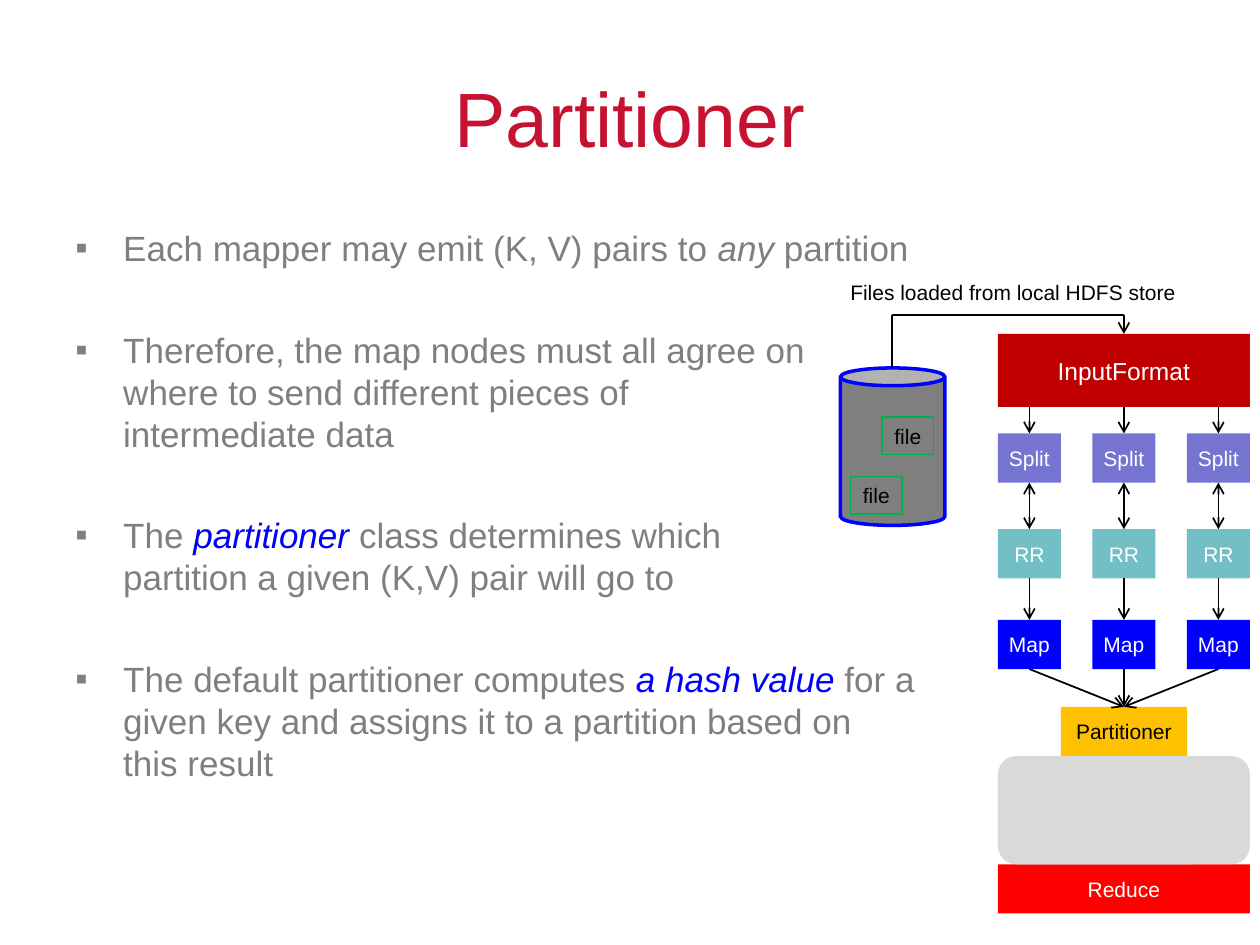
"""Build the Partitioner slide with its map and reduce flow."""
import pptx
import pptx.util
import pptx.dml.color
import pptx.enum.shapes
import pptx.enum.text
import pptx.oxml.ns
from lxml import etree

Inches, Pt = pptx.util.Inches, pptx.util.Pt
KIND = pptx.enum.shapes.MSO_SHAPE
ALIGN = pptx.enum.text.PP_ALIGN
ANCHOR = pptx.enum.text.MSO_ANCHOR

FONT = "Arial"
RED, GREY, BLUE, BLACK, WHITE = "C41230", "7F7F7F", "0000FF", "000000", "FFFFFF"
GREEN = "00B050"

TITLE = "Partitioner"
POINTS = [
    [("Each mapper may emit (K, V) pairs to ", GREY, False),
     ("any", GREY, True),
     (" partition", GREY, False)],
    [("Therefore, the map nodes must all agree on\n"
      "where to send different pieces of\nintermediate data", GREY, False)],
    [("The ", GREY, False),
     ("partitioner", BLUE, True),
     (" class determines which\n"
      "partition a given (K,V) pair will go to", GREY, False)],
    [("The default partitioner computes ", GREY, False),
     ("a hash value", BLUE, True),
     (" for a\ngiven key and assigns it to a partition based on\n"
      "this result", GREY, False)],
]
LABEL = "Files loaded from local HDFS store"
FILES = [(7, 3.31), (6.75, 3.78)]
ROWS = [("Split", 3.44, "7575D1"), ("RR", 4.2, "72BFC5"), ("Map", 4.92, BLUE)]

LEFT, STEP, COLS = 7.92, 0.75, 3
WIDE, SMALL, HIGH = 2, 0.5, 0.39
MID = LEFT + WIDE / 2
STORE, RAIL = 7.08, 2.5


def color(code):
    return pptx.dml.color.RGBColor.from_string(code)


def style(font, size, code, slant=False):
    font.name, font.size, font.italic = FONT, Pt(size), slant
    font.color.rgb = color(code)


def area(*place):
    return [Inches(round(n, 2)) for n in place]


def write(shape, text, size, code, align=ALIGN.CENTER, anchor=ANCHOR.MIDDLE, wrap=True):
    frame = shape.text_frame
    frame.text = text
    frame.word_wrap, frame.vertical_anchor = wrap, anchor
    para = frame.paragraphs[0]
    para.alignment = align
    style(para.runs[0].font, size, code)


def block(kind, place, fill=None, line=None, width=1):
    shape = slide.shapes.add_shape(kind, *area(*place))
    shape.shadow.inherit = False
    if fill:
        shape.fill.solid()
        shape.fill.fore_color.rgb = color(fill)
    else:
        shape.fill.background()
    if line:
        shape.line.color.rgb = color(line)
        shape.line.width = Pt(width)
    else:
        shape.line.fill.background()
    return shape


def box(text, place, fill, code=WHITE, size=12):
    shape = block(KIND.RECTANGLE, place, fill)
    write(shape, text, size, code)
    frame = shape.text_frame
    frame.margin_left = frame.margin_right = 0
    return shape


def under(shape):
    return shape.left + shape.width // 2, shape.top + shape.height


def over(shape):
    return shape.left + shape.width // 2, shape.top


def link(start, end, source=None, target=None, ends=("tailEnd",)):
    line = slide.shapes.add_connector(
        pptx.enum.shapes.MSO_CONNECTOR.STRAIGHT, *start, *end)
    if source:
        line.begin_connect(source, 2)
    if target:
        line.end_connect(target, 0)
    line.line.color.rgb = color(BLACK)
    line.line.width = Pt(1)
    props = line._element.spPr
    pen = props.find(pptx.oxml.ns.qn("a:ln"))
    for name in ends:
        etree.SubElement(pen, pptx.oxml.ns.qn("a:" + name), type="arrow")
    etree.SubElement(props, pptx.oxml.ns.qn("a:effectLst"))


def join(source, target, ends=("tailEnd",)):
    link(under(source), over(target), source, target, ends)


def bullet(para):
    props = para._p.get_or_add_pPr()
    props.set("marL", str(Inches(0.38)))
    props.set("indent", str(-Inches(0.38)))
    tint = etree.SubElement(props, pptx.oxml.ns.qn("a:buClr"))
    etree.SubElement(tint, pptx.oxml.ns.qn("a:srgbClr"), val=GREY)
    etree.SubElement(props, pptx.oxml.ns.qn("a:buFont"), typeface=FONT)
    etree.SubElement(props, pptx.oxml.ns.qn("a:buChar"), char="▪")


def fill_body(frame):
    frame.word_wrap = True
    for i, parts in enumerate(POINTS):
        para = frame.add_paragraph() if i else frame.paragraphs[0]
        bullet(para)
        para.line_spacing = Pt(24)
        para.space_before = Pt(34 if i else 0)
        for text, code, slant in parts:
            for j, piece in enumerate(text.split("\n")):
                if j:
                    para.add_line_break()
                run = para.add_run()
                run.text = piece
                style(run.font, 20, code, slant)


deck = pptx.Presentation()
deck.slide_width, deck.slide_height = Inches(10), Inches(7.5)
slide = deck.slides.add_slide(deck.slide_layouts[6])

write(slide.shapes.add_textbox(*area(0.5, 0.3, 9, 1.25)), TITLE, 44, RED)
fill_body(slide.shapes.add_textbox(*area(0.5, 1.75, 9, 4.95)).text_frame)
write(slide.shapes.add_textbox(*area(6.65, 2.17, 3, 0.3)), LABEL, 12, BLACK,
      ALIGN.LEFT, ANCHOR.TOP)

store = block(KIND.CAN, (6.67, 2.92, 0.83, 1.25), GREY, BLUE, 2)
store.adjustments[0] = 0.17
for x, y in FILES:
    write(block(KIND.RECTANGLE, (x, y, 0.41, 0.3), None, GREEN, 0.75), "file", 12,
          BLACK, ALIGN.LEFT, ANCHOR.TOP, False)

source = box("InputFormat", (LEFT, 2.65, WIDE, 0.58), "C00000", size=14)
grid = [[box(text, (LEFT + STEP * i, y, SMALL, HIGH), fill) for i in range(COLS)]
        for text, y, fill in ROWS]
router = box(TITLE, (MID - 0.5, 5.61, 1, HIGH), "FFC000", BLACK)
box("Reduce", (LEFT, 6.86, WIDE, HIGH), "FF0000")
cover = block(KIND.ROUNDED_RECTANGLE, (LEFT, 6, WIDE, 0.86), "D9D9D9")
cover.adjustments[0] = 0.17

link(area(STORE, 2.92), area(STORE, RAIL), ends=())
link(area(STORE, RAIL), area(MID, RAIL), ends=())
link(area(MID, RAIL), over(source), target=source)
for i, (split, reader, mapper) in enumerate(zip(*grid)):
    start = over(split)[0], under(source)[1]
    link(start, over(split), source if i == COLS // 2 else None, split)
    join(split, reader, ("headEnd", "tailEnd"))
    join(reader, mapper)
    join(mapper, router)

deck.save("out.pptx")
